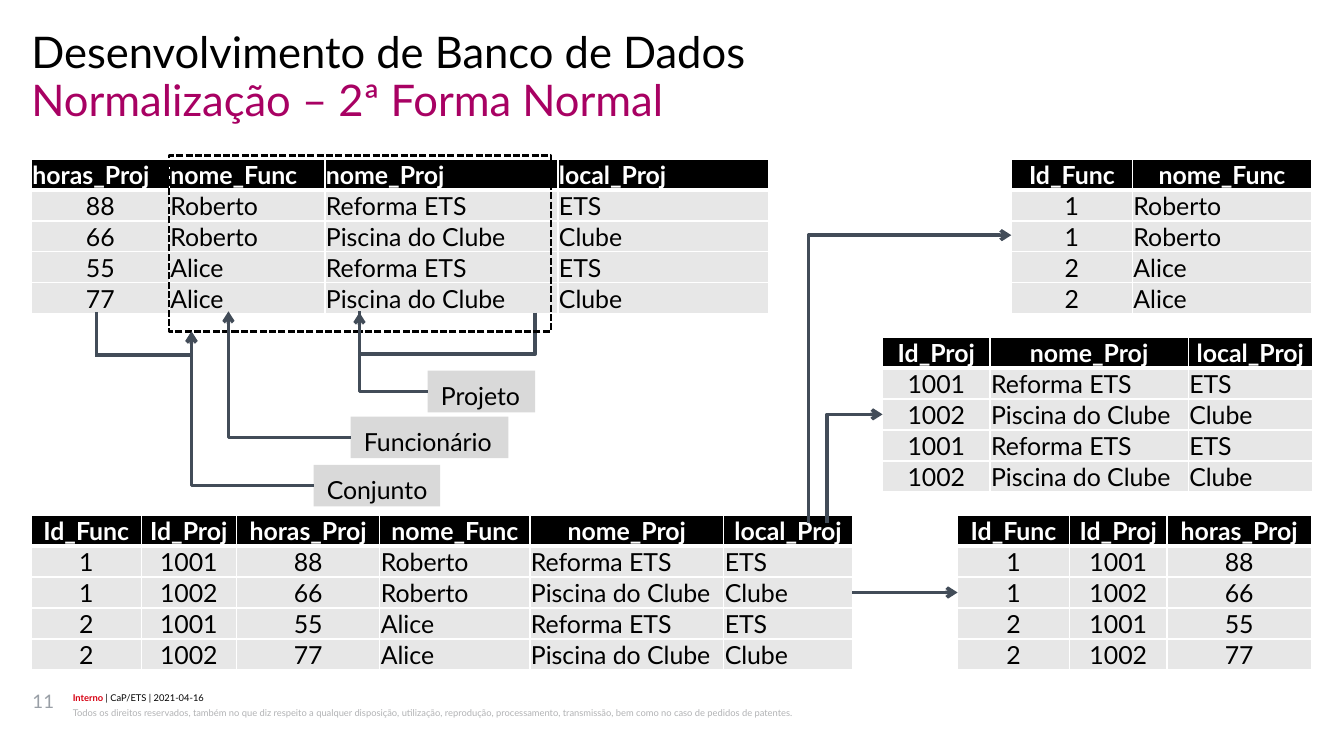
import dataclasses

import lxml.etree
import pptx
import pptx.dml.color
import pptx.enum.dml
import pptx.enum.shapes
import pptx.enum.text
import pptx.oxml.ns
import pptx.util

Pt = pptx.util.Pt
qn = pptx.oxml.ns.qn
SHAPES = pptx.enum.shapes.MSO_SHAPE
CONNECTORS = pptx.enum.shapes.MSO_CONNECTOR
ALIGN = pptx.enum.text.PP_ALIGN
ANCHOR = pptx.enum.text.MSO_ANCHOR


@dataclasses.dataclass(frozen=True)
class Theme:
    """Colours, typeface and type sizes of the slide."""
    font: str = "Lato"
    black: str = "000000"
    white: str = "FFFFFF"
    accent: str = "A80163"
    alert: str = "D70012"
    number: str = "999FA6"
    legal: str = "B2B3B5"
    cell: str = "E7E7E7"
    label: str = "D9D9D9"
    arrow: str = "424C58"
    heading_size: float = 28
    body_size: float = 16
    number_size: float = 12
    footer_size: float = 6


THEME = Theme()
ROW_HEIGHT = 19.87
RELATION = {
    "Id_Func": ("1", "1", "2", "2"),
    "Id_Proj": ("1001", "1002", "1001", "1002"),
    "horas_Proj": ("88", "66", "55", "77"),
    "nome_Func": ("Roberto", "Roberto", "Alice", "Alice"),
    "nome_Proj": ("Reforma ETS", "Piscina do Clube") * 2,
    "local_Proj": ("ETS", "Clube") * 2,
}


def rgb(color):
    """Turn a hex string into a colour."""
    return pptx.dml.color.RGBColor.from_string(color)


def assign(target, formats):
    """Set every attribute in formats on the target."""
    for attribute, value in formats.items():
        setattr(target, attribute, value)


def add_run(paragraph, wording, size, color, bold=False):
    """Append formatted wording to a paragraph."""
    run = paragraph.add_run()
    run.text = wording
    assign(run.font, {"name": THEME.font, "size": Pt(size), "bold": bold})
    run.font.color.rgb = rgb(color)


def set_margins(holder, left, top, right, bottom):
    """Set the inner margins of a text frame or cell."""
    assign(holder, {"margin_left": Pt(left), "margin_top": Pt(top),
                    "margin_right": Pt(right), "margin_bottom": Pt(bottom)})


def add_text(slide, box, runs, size, **spacing):
    """Place one line of (wording, colour, bold) runs."""
    frame = slide.shapes.add_textbox(*map(Pt, box)).text_frame
    assign(frame, {"word_wrap": True, "vertical_anchor": ANCHOR.TOP})
    set_margins(frame, 0, 0, 0, 0)
    assign(frame.paragraphs[0], spacing)
    for wording, color, bold in runs:
        add_run(frame.paragraphs[0], wording, size, color, bold)


def add_border(cell, side, width):
    """Draw a white border on one side of a cell."""
    border = lxml.etree.Element(qn(f"a:ln{side}"), w=str(Pt(width)))
    fill = lxml.etree.SubElement(border, qn("a:solidFill"))
    lxml.etree.SubElement(fill, qn("a:srgbClr"), val=THEME.white)
    return border


def fill_cell(cell, wording, align, is_header):
    """Write and colour one table cell."""
    cell.vertical_anchor = ANCHOR.BOTTOM
    set_margins(cell, 0.7, 0.7, 0.7, 0)
    paragraph = cell.text_frame.paragraphs[0]
    paragraph.alignment = align
    add_run(paragraph, wording, THEME.body_size,
            THEME.white if is_header else THEME.black, is_header)
    properties = cell._tc.get_or_add_tcPr()
    for side in "LRTB":
        properties.append(add_border(cell, side, 3 if is_header and side == "B" else 1))
    cell.fill.solid()
    cell.fill.fore_color.rgb = rgb(THEME.black if is_header else THEME.cell)


def add_relation(slide, left, top, widths, header_align=ALIGN.CENTER):
    """Show the columns of the relation that widths names."""
    row_count = len(RELATION["Id_Func"]) + 1
    table = slide.shapes.add_table(
        row_count, len(widths), Pt(left), Pt(top),
        Pt(sum(widths.values())), Pt(ROW_HEIGHT * row_count)).table
    assign(table, {"first_row": False, "horz_banding": False})
    for row in table.rows:
        row.height = Pt(ROW_HEIGHT)
    for column, (field, width) in enumerate(widths.items()):
        table.columns[column].width = Pt(width)
        fill_cell(table.cell(0, column), field, header_align, True)
        for row, entry in enumerate(RELATION[field], 1):
            align = ALIGN.CENTER if entry.isdigit() else ALIGN.LEFT
            fill_cell(table.cell(row, column), entry, align, False)


def style_line(shape, arrow_end=None):
    """Give a shape the arrow colour and an optional arrowhead."""
    shape.line.width = Pt(2.25)
    shape.line.color.rgb = rgb(THEME.arrow)
    if arrow_end:
        outline = shape._element.spPr.find(qn("a:ln"))
        lxml.etree.SubElement(outline, qn(f"a:{arrow_end}"), type="arrow")


def add_link(slide, start, end, arrow_end=None):
    """Connect two points, leaving the start horizontally if they need a bend."""
    is_straight = start[0] == end[0] or start[1] == end[1]
    kind = CONNECTORS.STRAIGHT if is_straight else CONNECTORS.ELBOW
    link = slide.shapes.add_connector(kind, *map(Pt, start + end))
    properties = link._element.spPr
    if not is_straight:
        properties.find(qn("a:prstGeom")).set("prst", "bentConnector2")
    style_line(link, arrow_end)
    lxml.etree.SubElement(properties, qn("a:effectLst"))


def add_bracket(slide, box, rotation, is_flipped=False):
    """Add a square bracket that opens upwards and ends in an arrow."""
    bracket = slide.shapes.add_shape(SHAPES.LEFT_BRACKET, *map(Pt, box))
    bracket.adjustments[0] = 0
    bracket.rotation = rotation
    bracket.shadow.inherit = False
    bracket.fill.background()
    if is_flipped:
        bracket._element.spPr.find(qn("a:xfrm")).set("flipH", "1")
    style_line(bracket, "tailEnd")


def add_label(slide, left, top, width, wording):
    """Add a grey label for a group of columns."""
    label = slide.shapes.add_shape(SHAPES.RECTANGLE, *map(Pt, (left, top, width, 26.8)))
    label.shadow.inherit = False
    label.fill.solid()
    label.fill.fore_color.rgb = rgb(THEME.label)
    label.line.fill.background()
    assign(label.text_frame, {"word_wrap": False, "vertical_anchor": ANCHOR.TOP})
    set_margins(label.text_frame, 8.5, 2.8, 8.5, 2.8)
    paragraph = label.text_frame.paragraphs[0]
    assign(paragraph, {"alignment": ALIGN.LEFT, "line_spacing": Pt(23), "space_before": Pt(5)})
    add_run(paragraph, wording, THEME.body_size, THEME.black)


def add_key_frame(slide, box):
    """Outline the compound group of columns with dashes."""
    frame = slide.shapes.add_shape(SHAPES.RECTANGLE, *map(Pt, box))
    frame.shadow.inherit = False
    frame.fill.background()
    frame.line.color.rgb = rgb(THEME.black)
    assign(frame.line, {"width": Pt(1.5), "dash_style": pptx.enum.dml.MSO_LINE.SQUARE_DOT})


def add_headings_and_footer(slide):
    """Add the two headings, the slide number and the footer lines."""
    headings = (("Desenvolvimento de Banco de Dados", THEME.black, 20.2),
                ("Normalização – 2ª Forma Normal", THEME.accent, 51.1))
    for wording, color, top in headings:
        add_text(slide, (20.2, top, 823, 31), [(wording, color, False)],
                 THEME.heading_size, line_spacing=0.89)
    add_text(slide, (20.9, 443.5, 23, 32.4), [("11", THEME.number, False)], THEME.number_size)
    add_text(slide, (46.8, 444.2, 720.7, 8.6),
             [("Interno", THEME.alert, True), (" | CaP/ETS | 2021-04-16", THEME.black, False)],
             THEME.footer_size, line_spacing=1.07, space_after=Pt(1))
    add_text(slide, (46.8, 452.9, 720.7, 17.3),
             [("Todos os direitos reservados, também no que diz respeito a qualquer disposição, "
               "utilização, reprodução, processamento, transmissão, bem como no caso de pedidos "
               "de patentes.", THEME.legal, False)],
             THEME.footer_size, line_spacing=1.2, space_after=Pt(1))


def main():
    """Build the slide and save it."""
    deck = pptx.Presentation()
    assign(deck, {"slide_width": Pt(864), "slide_height": Pt(486)})
    slide = deck.slides.add_slide(deck.slide_layouts[6])
    add_headings_and_footer(slide)

    add_relation(slide, 20.2, 102.2, {"horas_Proj": 88.6, "nome_Func": 100.1,
                                      "nome_Proj": 149.8, "local_Proj": 135.4}, ALIGN.LEFT)
    add_bracket(slide, (274.3, 157.7, 26.6, 113), 270)
    add_bracket(slide, (85, 190.1, 15.1, 61.2), 90, True)
    add_key_frame(slide, (108.7, 100.1, 245.5, 113))
    add_link(slide, (61.9, 200.9), (61.9, 229.7))
    for wording, left, top, width, tip in (("Funcionário", 225.4, 267.8, 101.5, (146.9, 200.2)),
                                           ("Projeto", 275, 238.3, 69.1, (231.1, 200.2)),
                                           ("Conjunto", 201.6, 298.8, 81.4, (123.1, 213.1))):
        add_label(slide, left, top, width, wording)
        arrow_end = None if wording == "Projeto" else "tailEnd"
        add_link(slide, (left, top + 13.4), tip, arrow_end)

    add_relation(slide, 20.2, 331.2, {"Id_Func": 70.6, "Id_Proj": 61.2, "horas_Proj": 92.2,
                                      "nome_Func": 96.5, "nome_Proj": 124.6, "local_Proj": 82.8})
    add_relation(slide, 650.2, 102.2, {"Id_Func": 77.8, "nome_Func": 115.2})
    add_relation(slide, 567.4, 216.7, {"Id_Proj": 69.1, "nome_Proj": 127.4, "local_Proj": 79.9})
    add_relation(slide, 615.6, 331.2, {"Id_Func": 72, "Id_Proj": 62.6, "horas_Proj": 92.9})
    for tip, origin in (((650.2, 151.2), (519.8, 336.2)),
                        ((567.4, 266.4), (531.7, 336.2)),
                        ((615.6, 380.9), (547.9, 380.9))):
        add_link(slide, tip, origin, "headEnd")
    deck.save("out.pptx")


if __name__ == "__main__":
    main()
